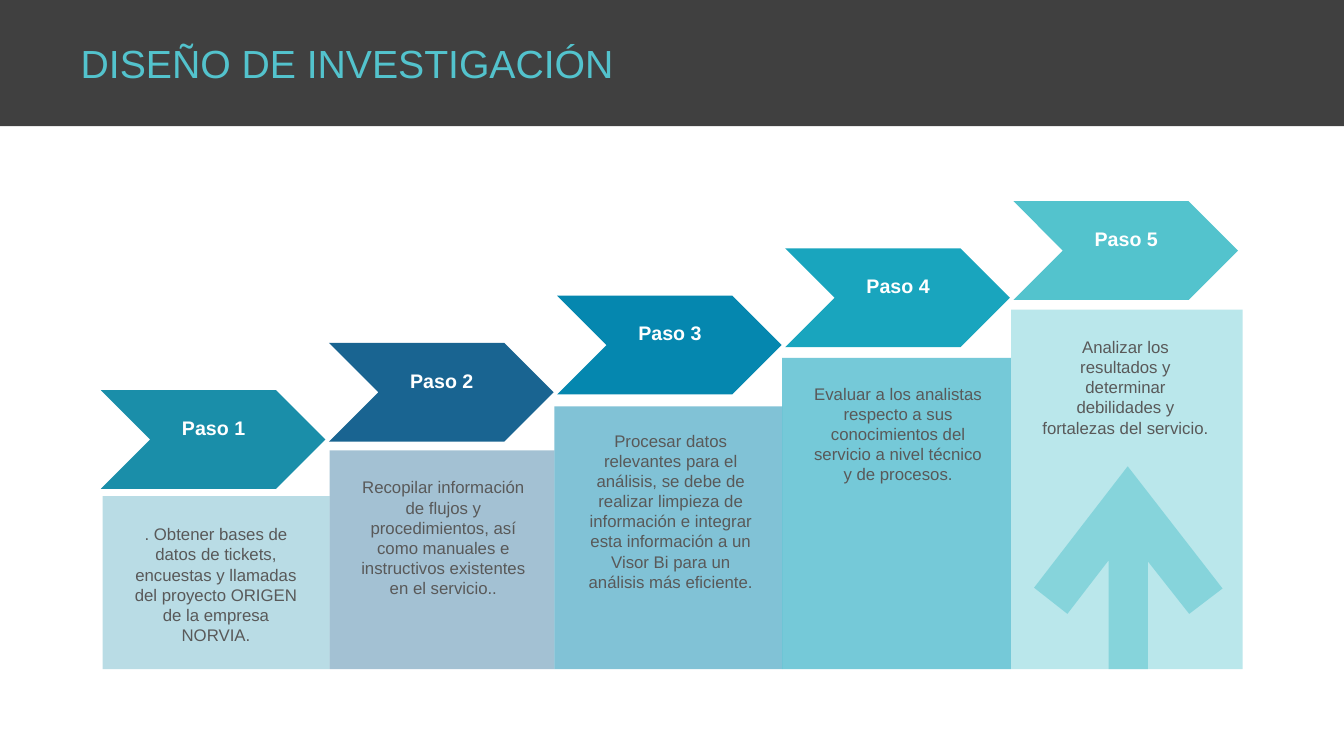
from pptx import Presentation
from pptx.dml.color import RGBColor
from pptx.enum.shapes import MSO_SHAPE as Shape
from pptx.enum.text import MSO_ANCHOR as Anchor, PP_ALIGN as Align
from pptx.oxml.ns import qn
from pptx.util import Cm, Pt
from lxml import etree

DARK = RGBColor(0x40, 0x40, 0x40)
GREY = RGBColor(0x59, 0x59, 0x59)
WHITE = RGBColor(0xFF, 0xFF, 0xFF)
TEAL = RGBColor(0x1A, 0x8E, 0xA9)
NAVY = RGBColor(0x19, 0x64, 0x91)
BLUE = RGBColor(0x05, 0x87, 0xAF)
CYAN = RGBColor(0x19, 0xA5, 0xBE)
AQUA = RGBColor(0x53, 0xC3, 0xCD)

STEPS = [
    (TEAL, 30, 2.59, 12.5, ". Obtener bases de datos de tickets, encuestas y llamadas "
     "del proyecto ORIGEN de la empresa NORVIA."),
    (NAVY, 40, 8.31, 11.35, "Recopilar información de flujos y procedimientos, así como "
     "manuales e instructivos existentes en el servicio.."),
    (BLUE, 50, 13.97, 10.24, "Procesar datos relevantes para el análisis, se debe de "
     "realizar limpieza de información e integrar esta información a un Visor Bi "
     "para un análisis más eficiente."),
    (CYAN, 60, 19.71, 9.02, "Evaluar a los analistas respecto a sus conocimientos del "
     "servicio a nivel técnico y de procesos."),
    (AQUA, 40, 25.48, 7.8, "Analizar los resultados y determinar debilidades y "
     "fortalezas del servicio."),
]
EDGES = [step[2] for step in STEPS] + [31.32]
BASE = 16.86
ARROW = [(28.42, 11.75), (30.81, 14.83), (29.97, 15.47), (28.93, 14.15),
         (28.93, BASE), (27.94, BASE), (27.94, 14.12), (26.9, 15.47), (26.06, 14.81)]


def paint(shape, color, alpha=100):
    shape.shadow.inherit = False
    shape.fill.solid()
    shape.fill.fore_color.rgb = color
    shape.line.fill.background()
    if alpha < 100:
        tint = shape.fill._xPr.find(qn("a:solidFill"))[0]
        etree.SubElement(tint, qn("a:alpha")).set("val", str(alpha * 1000))


def write(shape, text, size, color, align, bold=False):
    frame = shape.text_frame
    frame.text = text
    frame.word_wrap = True
    para = frame.paragraphs[0]
    para.alignment = align
    font = para.runs[0].font
    font.name, font.size, font.bold = "Arial", Pt(size), bold
    font.color.rgb = color


prs = Presentation()
prs.slide_width, prs.slide_height = Cm(33.87), Cm(19.05)
slide = prs.slides.add_slide(prs.slide_layouts[5])
shapes = slide.shapes

band = shapes.add_shape(Shape.RECTANGLE, 0, 0, prs.slide_width, Cm(3.18))
paint(band, DARK)
title = shapes.title
title.element.addprevious(band.element)
title.left, title.top, title.width, title.height = Cm(1.78), Cm(0.86), Cm(31.01), Cm(1.45)
write(title, "DISEÑO DE INVESTIGACIÓN", 28, AQUA, Align.LEFT)
title.text_frame.vertical_anchor = Anchor.MIDDLE

for i, (color, alpha, left, top, detail) in enumerate(STEPS):
    block = shapes.add_shape(Shape.RECTANGLE, Cm(left), Cm(top),
                             Cm(EDGES[i + 1] - left), Cm(BASE - top))
    paint(block, color, alpha)
    x, y = 2.54 + 5.75 * i, 9.83 - 1.19 * i
    chevron = shapes.add_shape(Shape.CHEVRON, Cm(x), Cm(y), Cm(5.66), Cm(2.49))
    paint(chevron, color)
    label = shapes.add_textbox(Cm(x + 1.45), Cm(y + 0.52), Cm(2.79), Cm(0.86))
    write(label, f"Paso {i + 1}", 14, WHITE, Align.CENTER, True)
    note = shapes.add_textbox(Cm(3.07 + 5.73 * i), Cm(13.08 - 1.18 * i), Cm(4.75), Cm(3.33))
    write(note, detail, 12, GREY, Align.CENTER)

points = [(Cm(x), Cm(y)) for x, y in ARROW]
pen = shapes.build_freeform(*points[0])
pen.add_line_segments(points[1:])
arrow = pen.convert_to_shape()
paint(arrow, AQUA, 50)

prs.save("out.pptx")
